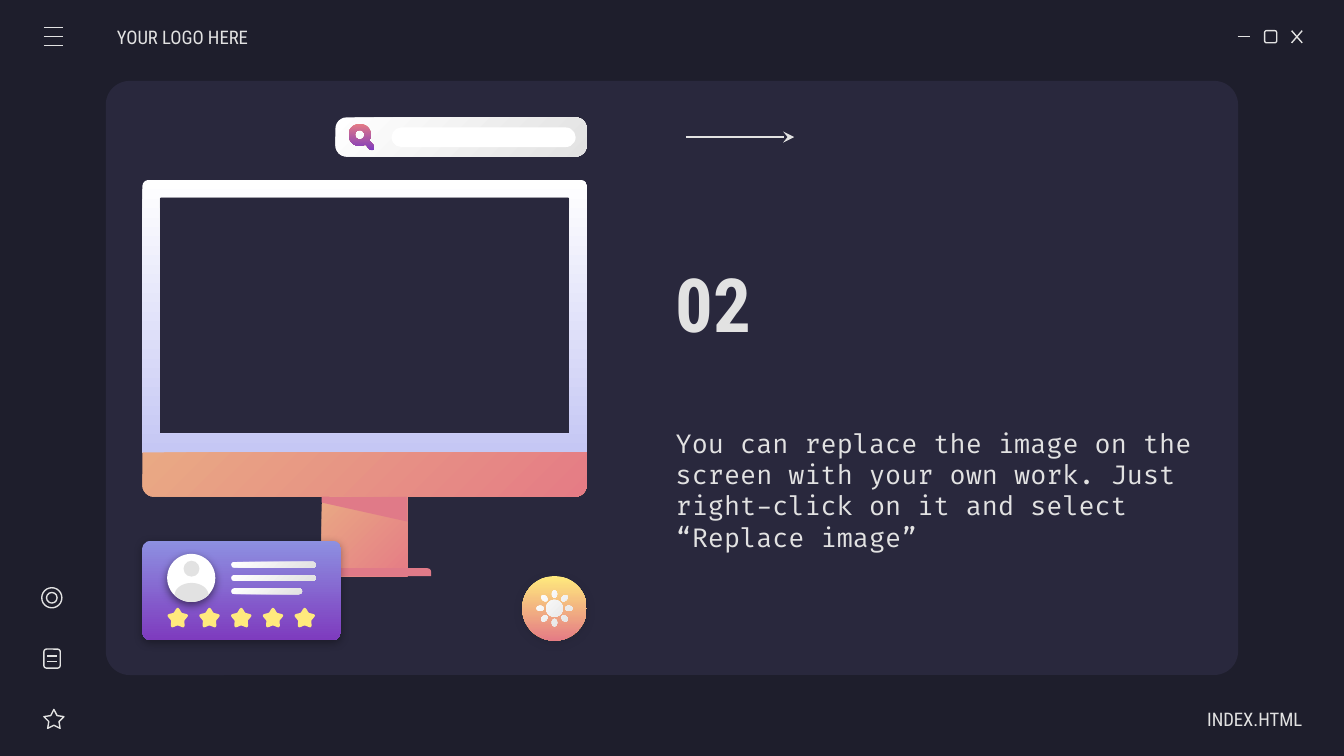
from dataclasses import dataclass
from math import cos, dist, radians, sin
from typing import Optional, Union

from lxml import etree
from pptx import Presentation
from pptx import util as u
from pptx.dml.color import RGBColor
from pptx.enum import shapes, text
from pptx.oxml import ns

NIGHT = RGBColor(0x1E, 0x1E, 0x2C)
PANEL = RGBColor(0x29, 0x28, 0x3D)
LIGHT = RGBColor(0xE2, 0xE2, 0xE2)
WHITE = RGBColor(0xFF, 0xFF, 0xFF)
BLACK = RGBColor(0x00, 0x00, 0x00)
LAVENDER = RGBColor(0xC5, 0xC7, 0xF4)
PERIWINKLE = RGBColor(0x8D, 0x90, 0xE1)
PURPLE = RGBColor(0x7E, 0x3B, 0xBE)
PEACH = RGBColor(0xE9, 0xA9, 0x84)
CORAL = RGBColor(0xE5, 0x7C, 0x85)
ROSE = RGBColor(0xE0, 0x7A, 0x88)
YELLOW = RGBColor(0xFF, 0xEA, 0x7D)
CONDENSED, MONO = "Roboto Condensed", "Fira Code"
Point = tuple[float, float]


@dataclass(frozen=True)
class Gradient:
    start: RGBColor
    end: RGBColor
    angle: int = 45  # clockwise from left to right


Paint = Union[RGBColor, Gradient]
SILVER = Gradient(WHITE, LIGHT)
SUNSET = Gradient(PEACH, CORAL)


@dataclass(frozen=True)
class Shadow:
    color: RGBColor
    opacity: int


@dataclass(frozen=True)
class Preset:
    kind: shapes.MSO_SHAPE
    left: float
    top: float
    width: float
    height: float
    fill: Optional[Paint] = None  # without a fill it is drawn as an outline
    adjust: tuple[float, ...] = ()
    shadow: Optional[Shadow] = None


ROUND, OVAL = shapes.MSO_SHAPE.ROUNDED_RECTANGLE, shapes.MSO_SHAPE.OVAL
TWO_ROUND = shapes.MSO_SHAPE.ROUND_2_SAME_RECTANGLE

presentation = Presentation()
presentation.slide_width, presentation.slide_height = u.Cm(25.4), u.Cm(14.29)
slide = presentation.slides.add_slide(presentation.slide_layouts[1])
slide.background.fill.solid()
slide.background.fill.fore_color.rgb = NIGHT


def paint_shape(shape, paint: Optional[Paint]) -> None:
    shape.shadow.inherit = False
    if paint is None:
        shape.fill.background()
        shape.line.color.rgb = LIGHT
        shape.line.width = u.Pt(0.75)
        return
    shape.line.fill.background()
    if isinstance(paint, Gradient):
        shape.fill.gradient()
        shape.fill.gradient_angle = 360 - paint.angle
        for stop, color in zip(shape.fill.gradient_stops, (paint.start, paint.end)):
            stop.color.rgb = color
    else:
        shape.fill.solid()
        shape.fill.fore_color.rgb = paint


def draw_preset(item: Preset):
    shape = slide.shapes.add_shape(item.kind, u.Cm(item.left), u.Cm(item.top),
                                   u.Cm(item.width), u.Cm(item.height))
    for index, value in enumerate(item.adjust):
        shape.adjustments[index] = value
    paint_shape(shape, item.fill)
    if item.shadow:
        effects = shape._element.spPr.find(ns.qn("a:effectLst"))
        outer = etree.SubElement(effects, ns.qn("a:outerShdw"), blurRad="57150",
                                 dist="19050", dir="5400000", algn="bl", rotWithShape="0")
        color = etree.SubElement(outer, ns.qn("a:srgbClr"), val=str(item.shadow.color))
        etree.SubElement(color, ns.qn("a:alpha"), val=str(item.shadow.opacity * 1000))
    return shape


def draw_outline(paint: Paint, *contours: list[Point]) -> None:
    scaled = [[(u.Cm(x), u.Cm(y)) for x, y in contour] for contour in contours]
    builder = slide.shapes.build_freeform(*scaled[0][0], scale=1.0)
    for index, contour in enumerate(scaled):
        if index:
            builder.move_to(*contour[0])
        builder.add_line_segments(contour[1:], close=True)
    paint_shape(builder.convert_to_shape(), paint)


def draw_line(x1: float, y1: float, x2: float, y2: float, arrow: bool = False) -> None:
    line = slide.shapes.add_connector(shapes.MSO_CONNECTOR.STRAIGHT,
                                      u.Cm(x1), u.Cm(y1), u.Cm(x2), u.Cm(y2))
    line.line.color.rgb = LIGHT
    line.line.width = u.Pt(0.75)
    if arrow:
        etree.SubElement(line.line._get_or_add_ln(), ns.qn("a:tailEnd"), type="stealth")
    etree.SubElement(line._element.spPr, ns.qn("a:effectLst"))


def write(shape, words: str, box: tuple[float, float, float, float], font: str, size: int,
          align=text.PP_ALIGN.LEFT, bold: bool = False,
          left: float = 0.25, right: float = 0.25) -> None:
    shape.left, shape.top, shape.width, shape.height = map(u.Cm, box)
    frame = shape.text_frame
    frame.word_wrap, frame.auto_size = True, text.MSO_AUTO_SIZE.NONE
    frame.vertical_anchor = text.MSO_ANCHOR.MIDDLE
    frame.margin_left, frame.margin_right = u.Cm(left), u.Cm(right)
    frame.margin_top = frame.margin_bottom = u.Cm(0.25)
    frame.text = words
    paragraph = frame.paragraphs[0]
    paragraph.alignment, paragraph.space_before = align, u.Pt(0)
    properties = paragraph._p.get_or_add_pPr()
    properties.set("marL", "0")
    properties.set("indent", "0")
    etree.SubElement(properties, ns.qn("a:buNone"))
    paragraph.font.name, paragraph.font.size = font, u.Pt(size)
    paragraph.font.bold, paragraph.font.color.rgb = bold, LIGHT


def arc(x: float, y: float, rx: float, ry: float, start: int = 0, end: int = 360,
        turn: float = 0, steps: int = 32) -> list[Point]:
    """Points along an ellipse, turned as a whole by an angle in degrees."""
    points = []
    for step in range(steps + 1):
        angle = radians(start + (end - start) * step / steps)
        dx, dy, tilt = rx * cos(angle), ry * sin(angle), radians(turn)
        points.append((x + dx * cos(tilt) - dy * sin(tilt), y + dx * sin(tilt) + dy * cos(tilt)))
    return points


def round_corners(corners: list[tuple[float, float, float]]) -> list[Point]:
    """Replace each corner (x, y, radius) by a short quadratic curve."""
    points = []
    for index, (x, y, radius) in enumerate(corners):
        ends = []
        for nx, ny, _ in (corners[index - 1], corners[(index + 1) % len(corners)]):
            share = radius / dist((x, y), (nx, ny))
            ends.append((x + (nx - x) * share, y + (ny - y) * share))
        (ax, ay), (bx, by) = ends
        for t in (step / 6 for step in range(7)):
            points.append(((1 - t) ** 2 * ax + 2 * t * (1 - t) * x + t * t * bx,
                           (1 - t) ** 2 * ay + 2 * t * (1 - t) * y + t * t * by))
    return points


# Panel, sent behind the placeholders, and window controls
panel = draw_preset(Preset(ROUND, 2, 1.53, 21.4, 11.23, PANEL, (0.04,)))
panel._element.getparent().insert(2, panel._element)
draw_line(23.39, 0.69, 23.62, 0.69)
draw_preset(Preset(ROUND, 23.9, 0.58, 0.23, 0.23))
draw_line(24.41, 0.58, 24.61, 0.81)
draw_line(24.61, 0.58, 24.41, 0.81)

# Menu and side icons
for y in (0.52, 0.69, 0.86):
    draw_line(0.83, y, 1.2, y)
draw_preset(Preset(shapes.MSO_SHAPE.STAR_5_POINT, 0.83, 13.41, 0.38, 0.36, None, (0.254,)))
draw_preset(Preset(ROUND, 0.83, 12.27, 0.31, 0.36))
for y in (12.4, 12.5):
    draw_line(0.89, y, 1.08, y)
for radius in (0.19, 0.1):
    draw_preset(Preset(OVAL, 0.98 - radius, 11.3 - radius, 2 * radius, 2 * radius))

# Texts
write(slide.shapes.add_textbox(0, 0, 0, 0), "YOUR LOGO HERE", (2.21, 0.32, 2.97, 0.76),
      CONDENSED, 10, left=0)
write(slide.shapes.add_textbox(0, 0, 0, 0), "INDEX.HTML", (21.64, 13.21, 2.97, 0.76),
      CONDENSED, 10, text.PP_ALIGN.RIGHT, right=0)
write(slide.shapes.title, "02", (12.52, 3.61, 10.54, 4.22), CONDENSED, 40, bold=True)
write(slide.placeholders[1], "You can replace the image on the screen with your own work. "
      "Just right-click on it and select “Replace image”", (12.52, 7.82, 10.54, 2.87), MONO, 14)

# Monitor
draw_outline(Gradient(WHITE, LAVENDER, 90),
             round_corners([(2.69, 3.4, 0.15), (11.1, 3.4, 0.15), (11.1, 8.56, 0), (2.69, 8.56, 0)]),
             round_corners([(3.02, 3.73, 0.03), (3.02, 8.2, 0.03),
                            (10.76, 8.2, 0.03), (10.76, 3.73, 0.03)]))
draw_preset(Preset(TWO_ROUND, 2.69, 8.55, 8.4, 0.84, SUNSET, (0, 0.26)))
draw_preset(Preset(shapes.MSO_SHAPE.RECTANGLE, 6.08, 9.39, 1.62, 1.5, SUNSET))
draw_preset(Preset(TWO_ROUND, 5.64, 10.74, 2.51, 0.15, ROSE, (0.5, 0)))
draw_outline(ROSE, [(6.08, 9.39), (6.08, 9.5), (7.7, 9.86), (7.7, 9.39)])

# Profile card
draw_preset(Preset(ROUND, 2.69, 10.22, 3.76, 1.88, Gradient(PERIWINKLE, PURPLE, 90),
                   (0.086,), Shadow(BLACK, 30)))
draw_preset(Preset(OVAL, 3.16, 10.47, 0.91, 0.91, WHITE, shadow=Shadow(BLACK, 50)))
draw_preset(Preset(OVAL, 3.47, 10.6, 0.3, 0.3, LIGHT))
draw_outline(LIGHT, arc(3.62, 11.25, 0.32, 0.23, 180, 360) + arc(3.62, 10.92, 0.46, 0.46, 45, 135))
for star in range(5):
    tips = []
    for corner in range(10):
        reach, bend = (0.13, 0.02) if corner % 2 else (0.23, 0.07)
        angle = radians(36 * corner - 90)
        tips.append((3.36 + 0.6 * star + reach * cos(angle), 11.69 + reach * sin(angle), bend))
    draw_outline(YELLOW, round_corners(tips))
for row, width in enumerate((1.6, 1.6, 1.34)):
    draw_preset(Preset(ROUND, 4.37, 10.62 + 0.25 * row, width, 0.11, SILVER, (0.5,)))

# Sun badge
draw_preset(Preset(OVAL, 9.87, 10.89, 1.22, 1.22, Gradient(YELLOW, CORAL, 90),
                   shadow=Shadow(NIGHT, 30)))
rays = [arc(10.48 + 0.27 * cos(radians(turn)), 11.5 + 0.27 * sin(radians(turn)), 0.07, 0.05, turn=turn)
        for turn in range(0, 360, 45)]
draw_outline(SILVER, arc(10.48, 11.5, 0.16, 0.16), *rays)

# Search bar
draw_preset(Preset(ROUND, 6.34, 2.22, 4.75, 0.74, SILVER, (0.286,)))
draw_outline(Gradient(CORAL, PURPLE, 90),
             arc(6.8, 2.55, 0.21, 0.21, 60, 390) + arc(7.03, 2.79, 0.05, 0.05, -45, 135),
             arc(6.8, 2.55, 0.09, 0.09, 360, 0))
draw_preset(Preset(ROUND, 7.4, 2.41, 3.48, 0.37, WHITE, (0.5,)))

# Arrow
draw_line(12.96, 2.59, 15.01, 2.59, arrow=True)

presentation.save("out.pptx")
